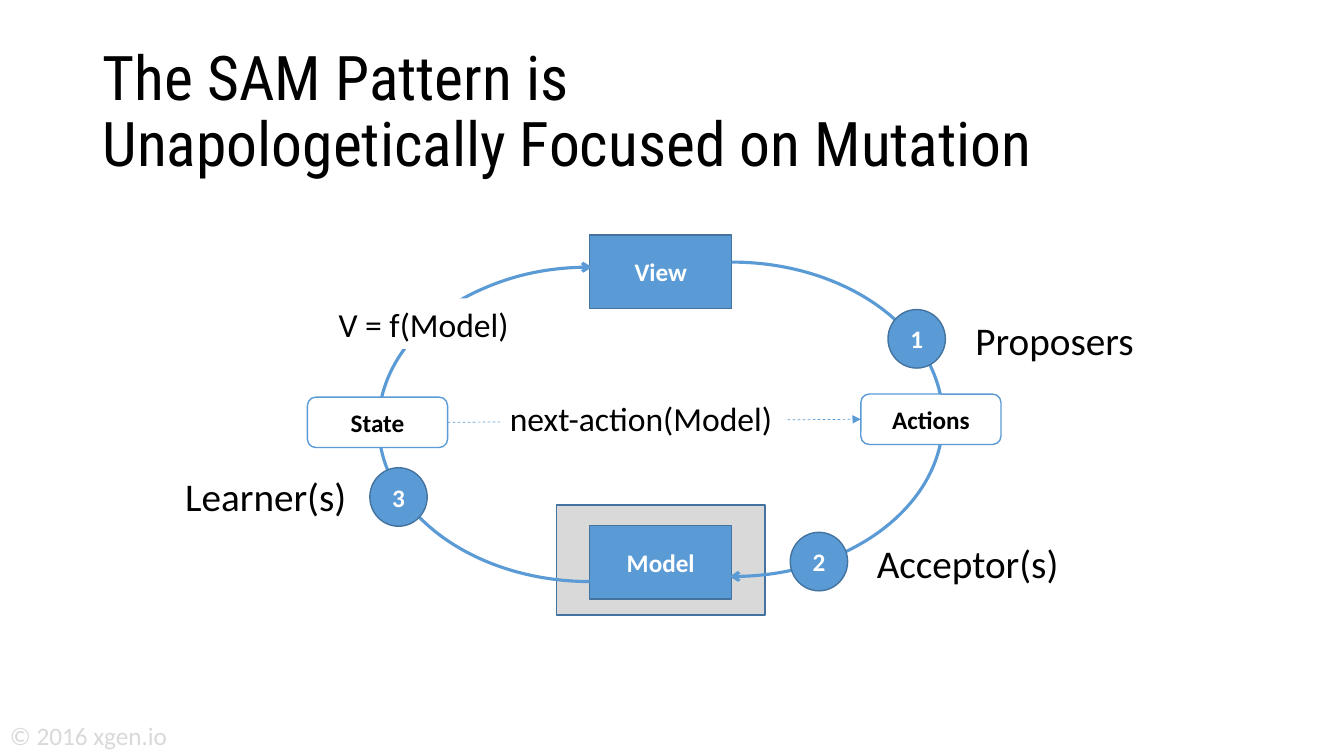
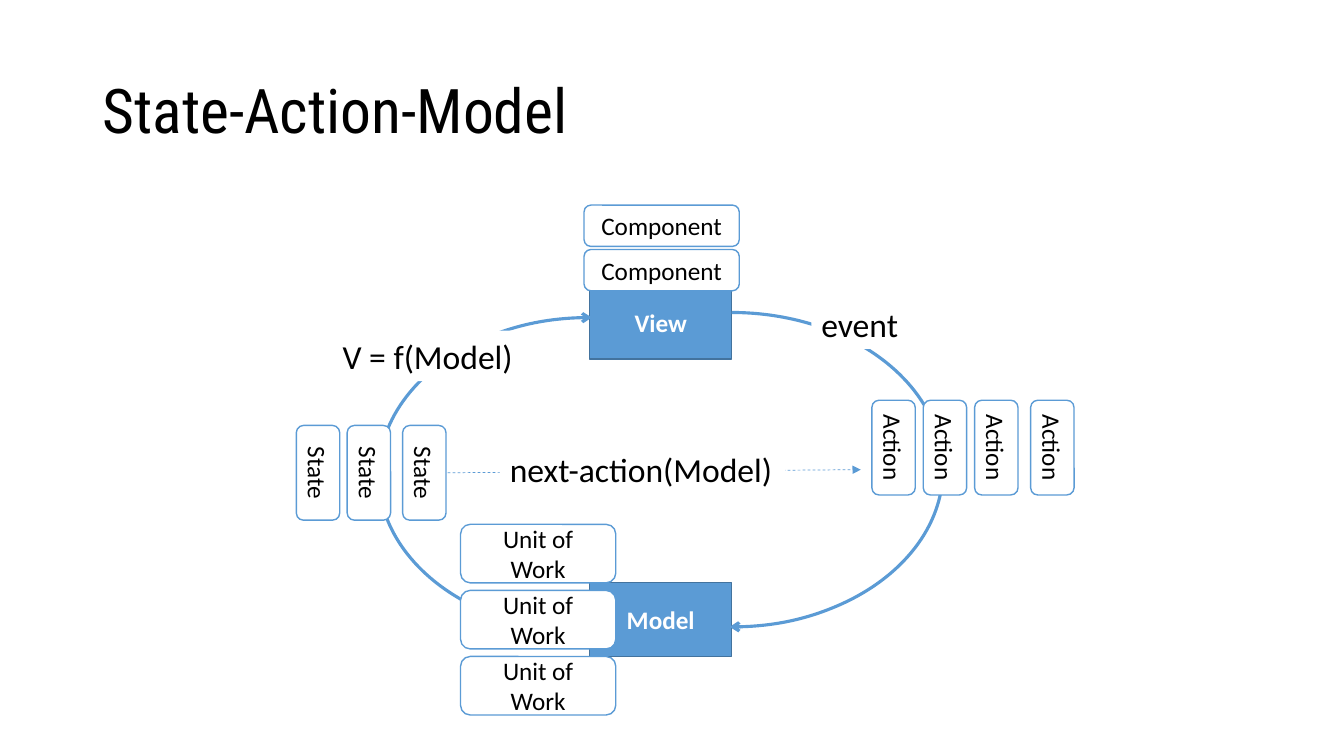
from lxml import etree
from pptx import Presentation
from pptx.dml.color import RGBColor
from pptx.enum.dml import MSO_LINE
from pptx.enum.shapes import MSO_CONNECTOR, MSO_SHAPE
from pptx.enum.text import MSO_ANCHOR, MSO_AUTO_SIZE, PP_ALIGN
from pptx.oxml.ns import qn
from pptx.util import Pt

RECT, ROUNDED = MSO_SHAPE.RECTANGLE, MSO_SHAPE.ROUNDED_RECTANGLE
OVAL, ARC = MSO_SHAPE.OVAL, MSO_SHAPE.ARC
STRAIGHT, DASH = MSO_CONNECTOR.STRAIGHT, MSO_LINE.DASH
MIDDLE, LEFT, CENTER = MSO_ANCHOR.MIDDLE, PP_ALIGN.LEFT, PP_ALIGN.CENTER
NO_FIT, GROW = MSO_AUTO_SIZE.NONE, MSO_AUTO_SIZE.SHAPE_TO_FIT_TEXT
LEFT_SIDE, RIGHT_SIDE = 1, 3

BLACK = RGBColor(0x00, 0x00, 0x00)
WHITE = RGBColor(0xFF, 0xFF, 0xFF)
BLUE = RGBColor(0x5B, 0x9B, 0xD5)
DARK_BLUE = RGBColor(0x43, 0x73, 0x9E)
GRAY = RGBColor(0xD9, 0xD9, 0xD9)

TITLE_FONT, BODY_FONT = "Roboto Condensed", "Calibri"
CYCLE_LEFT = 219.6
NODE_X, NODE_W, NODE_H = 201.6, 101.5, 52.6   # View and Model, from the cycle's left
ARC_W, ARC_H = 301.7, 224.6
PILL_W, PILL_H = 100.1, 36
CARD_W, CARD_H = 31, 67.7                     # upright State and Action cards
WIDE_CARD_W = 110.9


# Shared helpers
def style_runs(frame, size, color, bold=False, font=BODY_FONT):
    for paragraph in frame.paragraphs:
        for run in paragraph.runs:
            run.font.name, run.font.size = font, Pt(size)
            run.font.bold, run.font.color.rgb = bold, color


def add_arrowhead(line_shape, kind):
    outline = line_shape.line._get_or_add_ln()
    etree.SubElement(outline, qn("a:tailEnd")).set("type", kind)


def add_block(shapes, kind, left, top, width, height, text="", fill=BLUE,
              outline=DARK_BLUE, color=WHITE, bold=True):
    block = shapes.add_shape(kind, Pt(left), Pt(top), Pt(width), Pt(height))
    block.shadow.inherit = False
    block.fill.solid()
    block.fill.fore_color.rgb = fill
    block.line.color.rgb = outline
    block.line.width = Pt(1)
    if text:
        frame = block.text_frame
        frame.text = text
        frame.word_wrap = True
        frame.vertical_anchor = MIDDLE
        frame.paragraphs[0].alignment = CENTER
        style_runs(frame, 18, color, bold)
    return block


def add_pill(shapes, left, top, width, height, text, bold=False):
    return add_block(shapes, ROUNDED, left, top, width, height, text,
                     WHITE, BLUE, BLACK, bold)


def add_label(shapes, left, top, width, height, text, size=24, color=BLACK, fill=WHITE):
    label = shapes.add_textbox(Pt(left), Pt(top), Pt(width), Pt(height))
    if fill is not None:
        label.fill.solid()
        label.fill.fore_color.rgb = fill
    frame = label.text_frame
    frame.text = text
    frame.word_wrap = False
    frame.auto_size = GROW
    style_runs(frame, size, color)


def add_titled_slide(deck, text):
    slide = deck.slides.add_slide(deck.slide_layouts[5])
    title = slide.shapes.title
    title.left, title.top, title.width, title.height = Pt(66), Pt(28.8), Pt(828), Pt(104.4)
    frame = title.text_frame
    frame.text = text
    frame.word_wrap = True
    frame.auto_size = NO_FIT
    frame.vertical_anchor = MIDDLE
    frame.paragraphs[0].alignment = LEFT
    frame.paragraphs[0].line_spacing = 0.9
    style_runs(frame, 44, BLACK, font=TITLE_FONT)
    return slide


# Regions of the diagram
def add_cycle(shapes, left, top, model_drop):
    """View above Model, joined by two half-ellipse arrows."""
    node_left = left + NODE_X
    for text, drop in (("View", 0), ("Model", model_drop)):
        add_block(shapes, RECT, node_left, top + drop, NODE_W, NODE_H, text)
    for center, drop, turn in ((node_left + NODE_W, 19.4, 0), (node_left, 23, 180)):
        arc = shapes.add_shape(ARC, Pt(center - ARC_W / 2), Pt(top + drop),
                               Pt(ARC_W), Pt(ARC_H))
        arc.shadow.inherit = False
        arc.adjustments[0], arc.adjustments[1] = 162, 54.47
        arc.rotation = turn
        arc.fill.background()
        arc.line.color.rgb = BLUE
        arc.line.width = Pt(2.25)
        add_arrowhead(arc, "arrow")


def add_next_action(shapes, left, top, state=None, actions=None):
    """Dashed arrow from State to Actions, with its label on top."""
    arrow = shapes.add_connector(STRAIGHT, Pt(left + PILL_W), Pt(top + 133.9),
                                 Pt(left + 395.3), Pt(top + 131.7))
    if state is not None and actions is not None:
        arrow.begin_connect(state, RIGHT_SIDE)
        arrow.end_connect(actions, LEFT_SIDE)
    arrow.line.color.rgb = BLUE
    arrow.line.width = Pt(0.5)
    arrow.line.dash_style = DASH
    add_arrowhead(arrow, "triangle")
    etree.SubElement(arrow.element.spPr, qn("a:effectLst"))
    add_label(shapes, left + 137.5, top + 113, 203.8, 36, "next-action(Model)")


def add_step(slide, left, top, number, text, label_dx, label_dy, label_width, fill):
    """Numbered circle grouped with its role."""
    shapes = slide.shapes.add_group_shape().shapes
    add_block(shapes, OVAL, left, top, 41, 41.8, number)
    add_label(shapes, left + label_dx, top + label_dy, label_width, 41, text, 28, fill=fill)


def add_card_row(shapes, left, top, text, count, pitch):
    """Upright cards, the last one set slightly apart."""
    for index in range(count):
        apart = 3.3 if index == count - 1 else 0
        card = add_pill(shapes, left + index * pitch + apart, top, CARD_W, CARD_H, text)
        card.element.find(".//" + qn("a:bodyPr")).set("vert", "vert")


def add_card_stack(shapes, left, top, height, text, count, pitch):
    for index in range(count):
        add_pill(shapes, left, top + index * pitch, WIDE_CARD_W, height, text)


# Slides
def build_mutation_slide(deck, left, top):
    slide = add_titled_slide(deck, "The SAM Pattern is\vUnapologetically Focused on Mutation")
    shapes = slide.shapes
    add_block(shapes, RECT, left + 177.8, top + 193, 149, 78.5, fill=GRAY)
    add_cycle(shapes, left, top, 207.4)
    add_label(shapes, left + 15.1, top + 45.4, 137.5, 36, "V = f(Model)")
    actions = add_pill(shapes, left + 395.3, top + 113.7, PILL_W, PILL_H, "Actions", True)
    state = add_pill(shapes, left, top + 115.9, PILL_W, PILL_H, "State", True)
    add_next_action(shapes, left, top, state, actions)
    add_step(slide, left + 414.7, top + 53.3, "1", "Proposers", 55.4, 1.5, 128.9, WHITE)
    add_step(slide, left + 344.9, top + 212.4, "2", "Acceptor(s)", 54.7, 1.5, 146.2, None)
    add_step(slide, left + 44.6, top + 166.3, "3", "Learner(s)", -139, 0, 131, WHITE)
    add_label(shapes, 0, 511.2, 128.2, 28.8, "© 2016 xgen.io", 18, GRAY, None)


def build_components_slide(deck, left, top):
    shapes = add_titled_slide(deck, "State-Action-Model").shapes
    add_cycle(shapes, left, top, 212.4)
    add_label(shapes, left + 18, top + 32.4, 137.5, 36, "V = f(Model)")
    add_next_action(shapes, left, top)
    add_card_row(shapes, left + 403.2, top + 82.1, "Action", 4, 36.7)
    add_label(shapes, left + 360, top + 9.4, 69.8, 36, "event")
    add_card_stack(shapes, left + 109.4, top + 170.7, 41.8, "Unit of Work", 3, 47.2)
    add_card_row(shapes, left - 7.9, top + 100.1, "State", 3, 36.3)
    add_card_stack(shapes, left + 197.6, top - 57.3, 29.5, "Component", 2, 31.7)


def main():
    deck = Presentation()
    deck.slide_width, deck.slide_height = Pt(960), Pt(540)
    build_mutation_slide(deck, CYCLE_LEFT, 167.8)
    build_components_slide(deck, CYCLE_LEFT, 203.8)
    deck.save("out.pptx")


if __name__ == "__main__":
    main()
